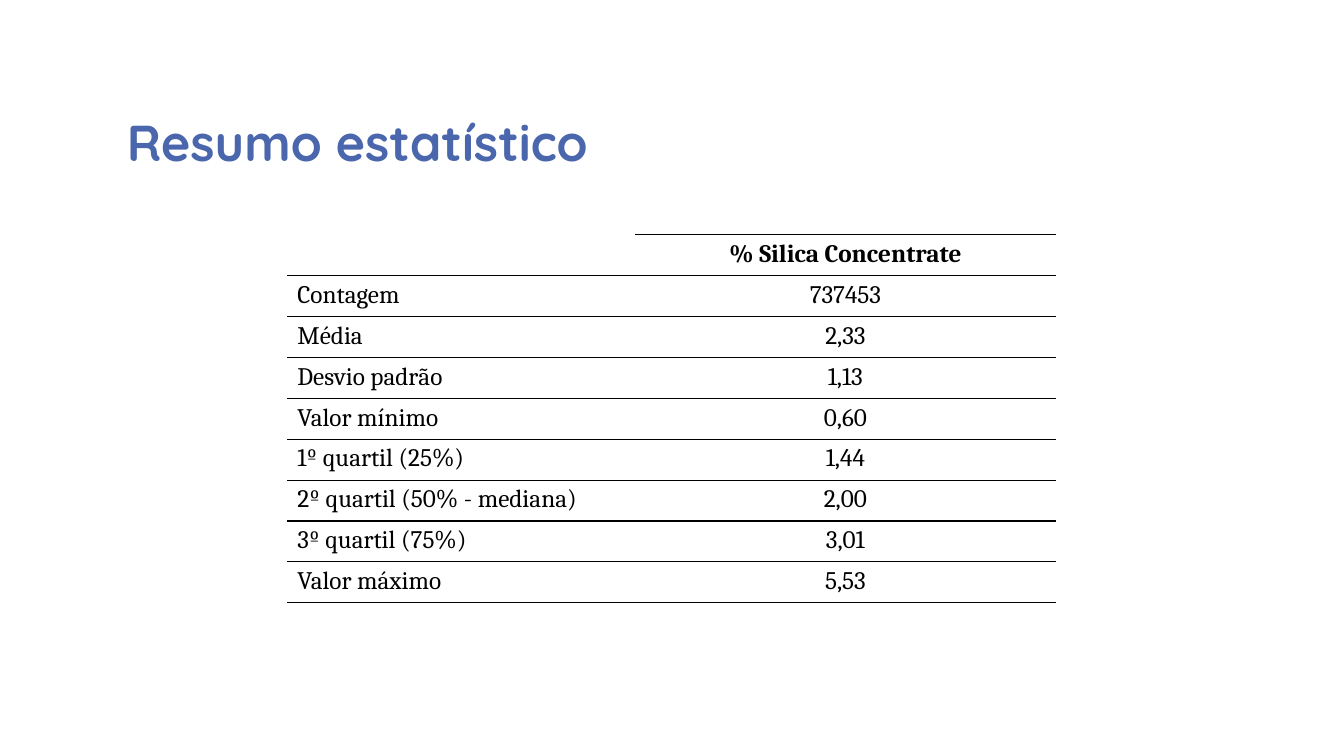
"""Build a slide with a statistical summary table."""
import pptx
import pptx.util
import pptx.dml.color
import pptx.enum.text
import pptx.oxml
import pptx.oxml.ns

TITLE = "Resumo estatístico"
ROWS = [
    ("", "% Silica Concentrate"),
    ("Contagem", "737453"),
    ("Média", "2,33"),
    ("Desvio padrão", "1,13"),
    ("Valor mínimo", "0,60"),
    ("1º quartil (25%)", "1,44"),
    ("2º quartil (50% - mediana)", "2,00"),
    ("3º quartil (75%)", "3,01"),
    ("Valor máximo", "5,53"),
]
THEME = {
    "title": ("Quicksand", 36, "4A66AC"),
    "body": ("Cambria", 18, "000000"),
    "rule": ("000000", 1),
}
SIZE = (13.33, 7.5)
HEAD = (1.16, 0.58, 9.5, 1.17)
GRID = (2.85, 2.33)
COLS = (3.45, 4.17)
HIGH = 3.65 / len(ROWS)

Inches = pptx.util.Inches
ALIGN = pptx.enum.text.PP_ALIGN


def style(para, role, bold):
    face, size, color = THEME[role]
    for font in [para.font] + [run.font for run in para.runs]:
        font.name = face
        font.size = pptx.util.Pt(size)
        font.bold = bold
        font.color.rgb = pptx.dml.color.RGBColor.from_string(color)


def edge(cell, sides):
    color, width = THEME["rule"]
    props = cell._tc.get_or_add_tcPr()
    for spot, side in enumerate("LRTB"):
        ink = "<a:noFill/>"
        if side in sides:
            ink = f'<a:solidFill><a:srgbClr val="{color}"/></a:solidFill>'
        line = pptx.oxml.parse_xml(
            f'<a:ln{side} {pptx.oxml.ns.nsdecls("a")} '
            f'w="{pptx.util.Pt(width)}">{ink}</a:ln{side}>')
        props.insert(spot, line)


def add_title(slide):
    frame = slide.shapes.add_textbox(*map(Inches, HEAD)).text_frame
    frame.word_wrap = True
    frame.vertical_anchor = pptx.enum.text.MSO_ANCHOR.BOTTOM
    frame.text = TITLE
    para = frame.paragraphs[0]
    para.line_spacing = 0.8
    style(para, "title", True)


def add_grid(slide):
    box = (*GRID, sum(COLS), HIGH * len(ROWS))
    table = slide.shapes.add_table(
        len(ROWS), len(COLS), *map(Inches, box)).table
    table.first_row = table.horz_banding = False
    for col, width in zip(table.columns, COLS):
        col.width = Inches(width)
    for r, row in enumerate(ROWS):
        table.rows[r].height = Inches(HIGH)
        for c, text in enumerate(row):
            cell = table.cell(r, c)
            cell.text = text
            para = cell.text_frame.paragraphs[0]
            para.alignment = ALIGN.CENTER if c else ALIGN.LEFT
            style(para, "body", r == 0)
            cell.fill.background()
            edge(cell, "TB" if r or c else "B")


def main():
    deck = pptx.Presentation()
    deck.slide_width, deck.slide_height = map(Inches, SIZE)
    slide = deck.slides.add_slide(deck.slide_layouts[6])
    add_title(slide)
    add_grid(slide)
    deck.save("out.pptx")


if __name__ == "__main__":
    main()
